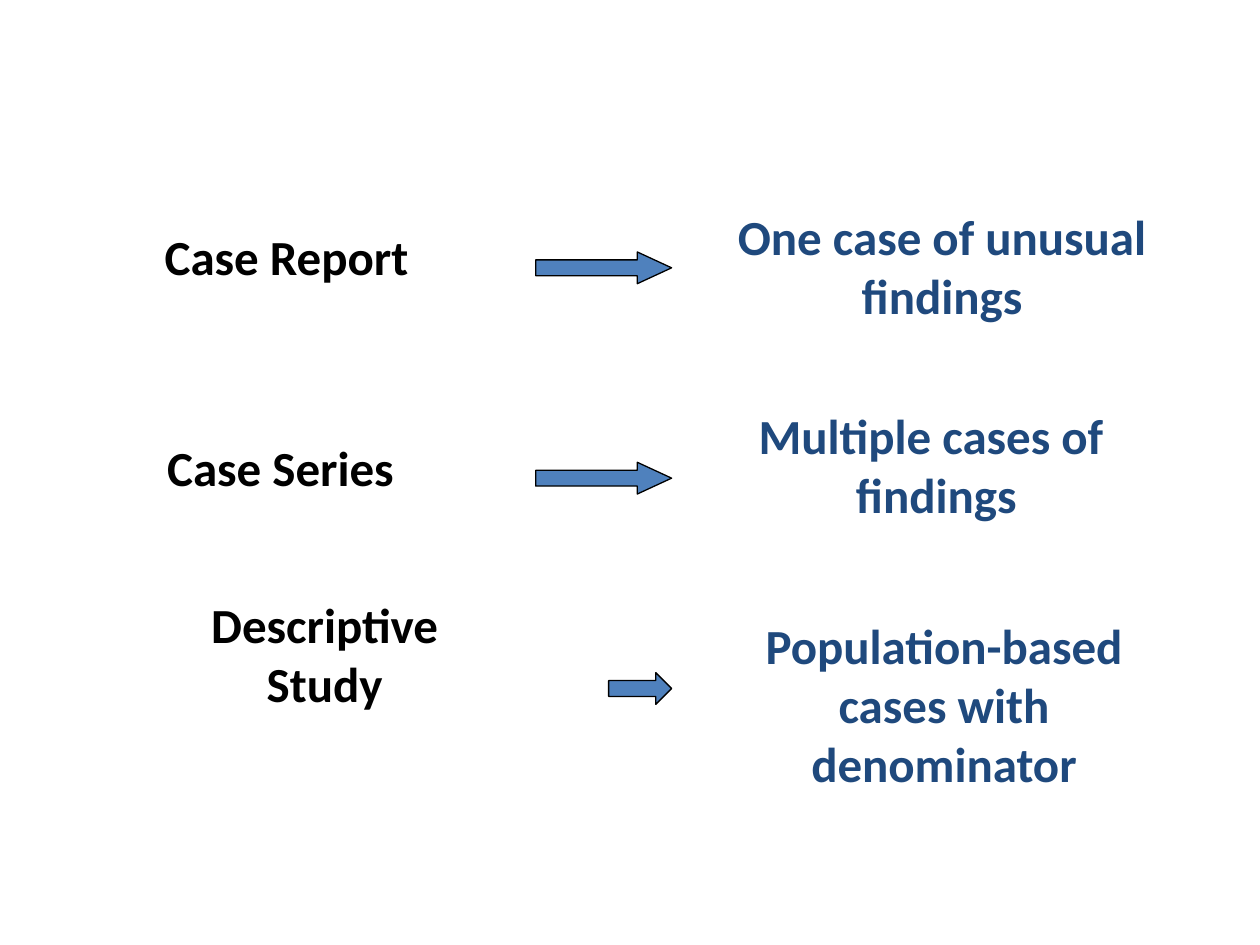
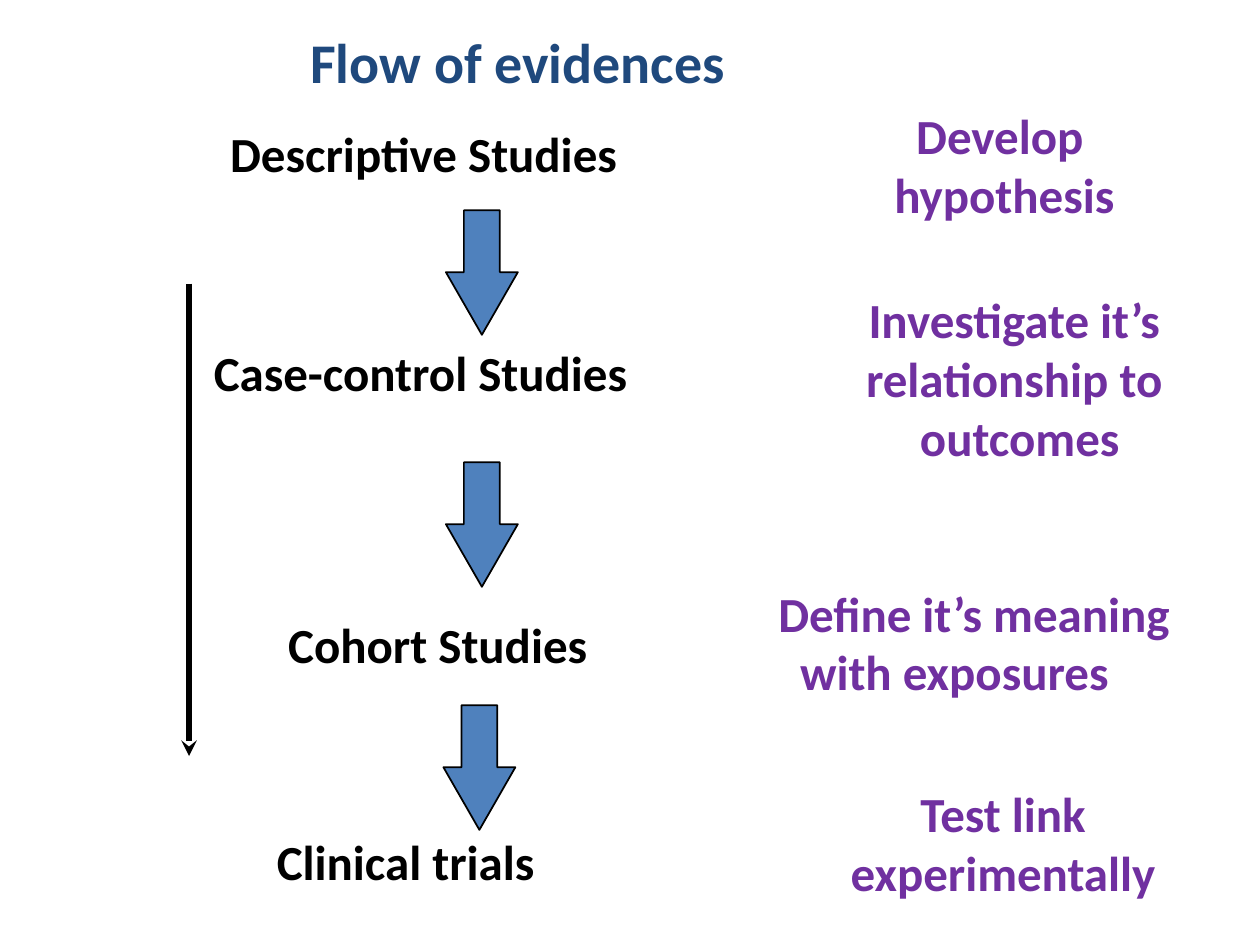
from lxml.etree import SubElement
from pptx import Presentation
from pptx.dml.color import RGBColor
from pptx.enum.shapes import MSO_CONNECTOR, MSO_SHAPE as Preset
from pptx.enum.text import MSO_AUTO_SIZE as AutoSize, PP_ALIGN as Align
from pptx.oxml.ns import qn
from pptx.util import Cm, Pt

COLORS = {
    "black": "000000",
    "navy": "1F497D",
    "purple": "7030A0",
    "arrow": "4F81BD",
}
FONT = "Calibri"
BODY_SIZE = 28
TITLE_SIZE = 32
SPACE = 0.22  # width of one letter gap, in cm


def rgb(name):
    return RGBColor.from_string(COLORS[name])


class Deck:
    def __init__(self):
        self.presentation = Presentation()
        self.presentation.slide_width = Cm(25.4)
        self.presentation.slide_height = Cm(19.05)
        self.slide = None

    def new_slide(self):
        layout = self.presentation.slide_layouts[6]
        self.slide = self.presentation.slides.add_slide(layout)

    def text(self, left, top, width, lines, color="black", align=Align.CENTER,
             size=BODY_SIZE, wrap=False):
        """Add bold lines; a line is a string or (string, indent in cm).

        A negative indent is taken from the right side.
        """
        height = 0.25 + 0.0425 * size * len(lines)
        box = self.slide.shapes.add_textbox(Cm(left), Cm(top), Cm(width), Cm(height))
        frame = box.text_frame
        frame.word_wrap = wrap
        frame.auto_size = AutoSize.SHAPE_TO_FIT_TEXT
        for index, line in enumerate(lines):
            words, indent = (line, 0) if isinstance(line, str) else line
            paragraph = frame.paragraphs[0] if index == 0 else frame.add_paragraph()
            paragraph.text = words
            paragraph.alignment = align
            if indent:
                side = "marL" if indent > 0 else "marR"
                paragraph._p.get_or_add_pPr().set(side, str(Cm(abs(indent))))
            font = paragraph.runs[0].font
            font.name, font.size, font.bold = FONT, Pt(size), True
            font.color.rgb = rgb(color)

    def title(self, left, top, width, words):
        self.text(left, top, width, [(words, -SPACE)], "navy",
                  size=TITLE_SIZE, wrap=True)

    def arrow(self, preset, left, top, width, height, head, line_width):
        """Add a block arrow; head is its length relative to the short side."""
        shape = self.slide.shapes.add_shape(
            preset, Cm(left), Cm(top), Cm(width), Cm(height))
        shape.adjustments[0] = 0.5
        shape.adjustments[1] = head
        shape.shadow.inherit = False
        shape.fill.solid()
        shape.fill.fore_color.rgb = rgb("arrow")
        shape.line.color.rgb = rgb("black")
        shape.line.width = Pt(line_width)

    def vertical_line(self, x, top, bottom):
        """Add a thick line that ends in a stealth arrowhead."""
        connector = self.slide.shapes.add_connector(
            MSO_CONNECTOR.STRAIGHT, Cm(x), Cm(top), Cm(x), Cm(bottom))
        connector.line.color.rgb = rgb("black")
        connector.line.width = Pt(3)
        SubElement(connector.line._get_or_add_ln(), qn("a:tailEnd"), type="stealth")
        SubElement(connector._element.spPr, qn("a:effectLst"))


def build_study_types(deck):
    deck.new_slide()
    deck.text(3.07, 4.45, 5.79, ["Case Report"], align=Align.LEFT)
    deck.text(3.12, 8.69, 5.36, ["Case Series"], align=Align.LEFT)
    deck.text(3.89, 11.86, 5.31, ["Descriptive", "Study"])

    meanings = [
        (14.48, 4.04, 9.02, ["One case of unusual", "findings"]),
        (14.94, 8.05, 7.65, ["Multiple cases of", ("findings", SPACE)]),
        (13.87, 12.29, 10.54, [("Population-based", -SPACE), "cases with denominator"]),
    ]
    for left, top, width, lines in meanings:
        deck.text(left, top, width, lines, "navy")

    arrow_tip, first_top, pitch = 13.54, 5.08, 4.24
    for row, (length, head) in enumerate([(2.74, 1.08), (2.74, 1.08), (1.27, 0.5)]):
        deck.arrow(Preset.RIGHT_ARROW, arrow_tip - length, first_top + row * pitch,
                   length, 0.64, head, 0.75)


def build_evidence_flow(deck):
    deck.new_slide()
    deck.title(4.39, 0.43, 12.32, "Flow of evidences")

    studies = [
        (4.39, 2.36, 8.69, "Descriptive Studies"),
        (4.06, 6.78, 9.27, "Case-control Studies"),
        (5.56, 12.27, 6.91, "Cohort Studies"),
        (5.33, 16.64, 6.3, "Clinical trials"),
    ]
    for left, top, width, words in studies:
        deck.text(left, top, width, [words], align=Align.LEFT)

    purposes = [
        (17.78, 2.01, 5, Align.LEFT, [("Develop", 2 * SPACE), "hypothesis"]),
        (17.09, 5.72, 6.71, Align.CENTER,
         ["Investigate it’s", "relationship to", ("outcomes", SPACE)]),
        (15.44, 11.63, 8.74, Align.LEFT,
         ["Define it’s meaning", ("with exposures", 2 * SPACE)]),
        (16.89, 15.67, 6.88, Align.CENTER, [("Test link", -SPACE), "experimentally"]),
    ]
    for left, top, width, align, lines in purposes:
        deck.text(left, top, width, lines, "purple", align)

    for left, top in [(8.99, 4.24), (8.99, 9.32), (8.94, 14.22)]:
        deck.arrow(Preset.DOWN_ARROW, left, top, 1.45, 2.51, 0.87, 1)
    deck.vertical_line(3.81, 5.72, 15.24)


def main():
    deck = Deck()
    build_study_types(deck)
    build_evidence_flow(deck)
    deck.presentation.save("out.pptx")


if __name__ == "__main__":
    main()
